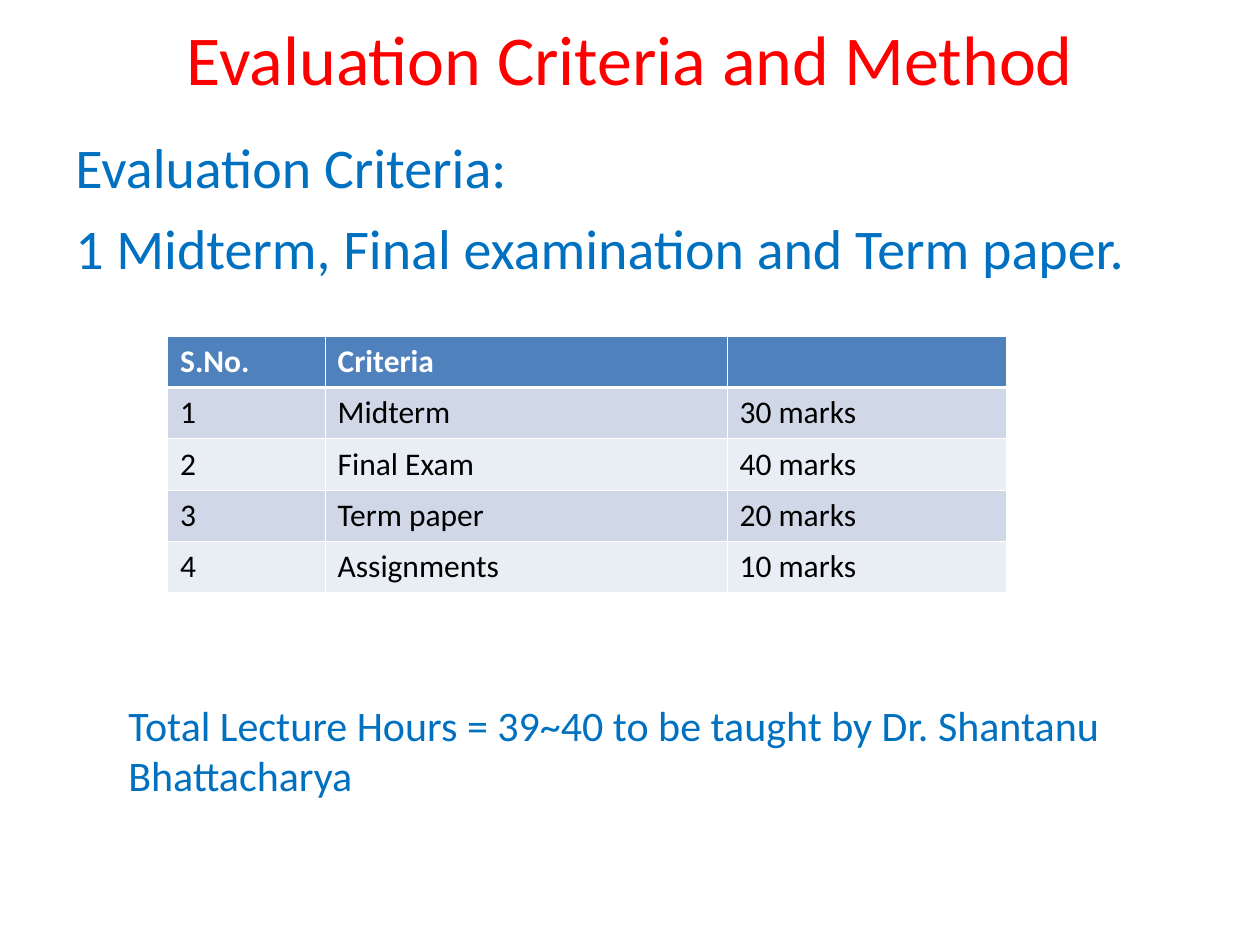
from dataclasses import dataclass
from typing import Any

from lxml.etree import SubElement
from pptx import Presentation
from pptx.dml.color import RGBColor
from pptx.enum.text import MSO_ANCHOR as Anchor, MSO_AUTO_SIZE as AutoSize, PP_ALIGN as Align
from pptx.oxml.ns import qn
from pptx.util import Inches, Pt

RED = RGBColor(0xFF, 0x00, 0x00)
BLUE = RGBColor(0x00, 0x70, 0xC0)
WHITE = RGBColor(0xFF, 0xFF, 0xFF)
BLACK = RGBColor(0x00, 0x00, 0x00)
HEADER = RGBColor(0x4F, 0x81, 0xBD)
BANDS = (RGBColor(0xE9, 0xED, 0xF4), RGBColor(0xD0, 0xD8, 0xE8))

THIN, THICK = 0.45, 1.47
CRITERIA = (
    ("S.No.", "Criteria", ""),
    ("1", "Midterm", "30 marks"),
    ("2", "Final Exam", "40 marks"),
    ("3", "Term paper", "20 marks"),
    ("4", "Assignments", "10 marks"),
)


@dataclass
class SlideWriter:
    page: Any
    font: str = "Calibri"

    def style(self, para, size, color, bold=False):
        for span in para.runs:
            span.font.name = self.font
            span.font.size = Pt(size)
            span.font.bold = bold
            span.font.color.rgb = color

    def text(self, left, top, width, height, words, size, color,
             align=Align.LEFT, anchor=Anchor.TOP, space_before=0, auto_size=AutoSize.NONE):
        box = self.page.shapes.add_textbox(Inches(left), Inches(top), Inches(width), Inches(height))
        frame = box.text_frame
        frame.text = words
        frame.word_wrap = True
        frame.auto_size = auto_size
        frame.vertical_anchor = anchor
        for para in frame.paragraphs:
            para.alignment = align
            para.space_before = Pt(space_before)
            self.style(para, size, color)

    def border(self, cell, side, width):
        line = SubElement(cell._tc.get_or_add_tcPr(), qn(f"a:ln{side}"), w=str(Pt(width)))
        fill = SubElement(line, qn("a:solidFill"))
        SubElement(fill, qn("a:srgbClr"), val=str(WHITE))

    def table(self, left, top, widths, height, rows, size):
        table = self.page.shapes.add_table(
            len(rows), len(widths), Inches(left), Inches(top),
            Inches(sum(widths)), Inches(height)).table
        for column, width in zip(table.columns, widths):
            column.width = Inches(width)
        for index, words in enumerate(rows):
            is_header = index == 0
            borders = {"L": THIN, "R": THIN,
                       "T": THICK if index == 1 else THIN,
                       "B": THICK if is_header else THIN}
            for cell, word in zip(table.rows[index].cells, words):
                for side, width in borders.items():
                    self.border(cell, side, width)
                cell.fill.solid()
                cell.fill.fore_color.rgb = HEADER if is_header else BANDS[index % 2]
                cell.text_frame.text = word
                self.style(cell.text_frame.paragraphs[0], size,
                           WHITE if is_header else BLACK, is_header)


def main():
    deck = Presentation()
    deck.slide_width, deck.slide_height = Inches(10), Inches(7.5)
    writer = SlideWriter(deck.slides.add_slide(deck.slide_layouts[6]))
    writer.text(0.75, 0.25, 8.5, 0.42, "Evaluation Criteria and Method", 40, RED,
                align=Align.CENTER, anchor=Anchor.MIDDLE)
    writer.text(0.5, 1, 8.67, 1.5,
                "Evaluation Criteria:\n1 Midterm, Final examination and Term paper.",
                32, BLUE, space_before=8)
    writer.table(1.33, 2.67, (1.25, 3.19, 2.22), 2.03, CRITERIA, 18)
    writer.text(0.92, 5.5, 8.17, 0.9,
                "Total Lecture Hours = 39~40 to be taught by Dr. Shantanu Bhattacharya",
                24, BLUE, auto_size=AutoSize.SHAPE_TO_FIT_TEXT)
    deck.save("out.pptx")


if __name__ == "__main__":
    main()
